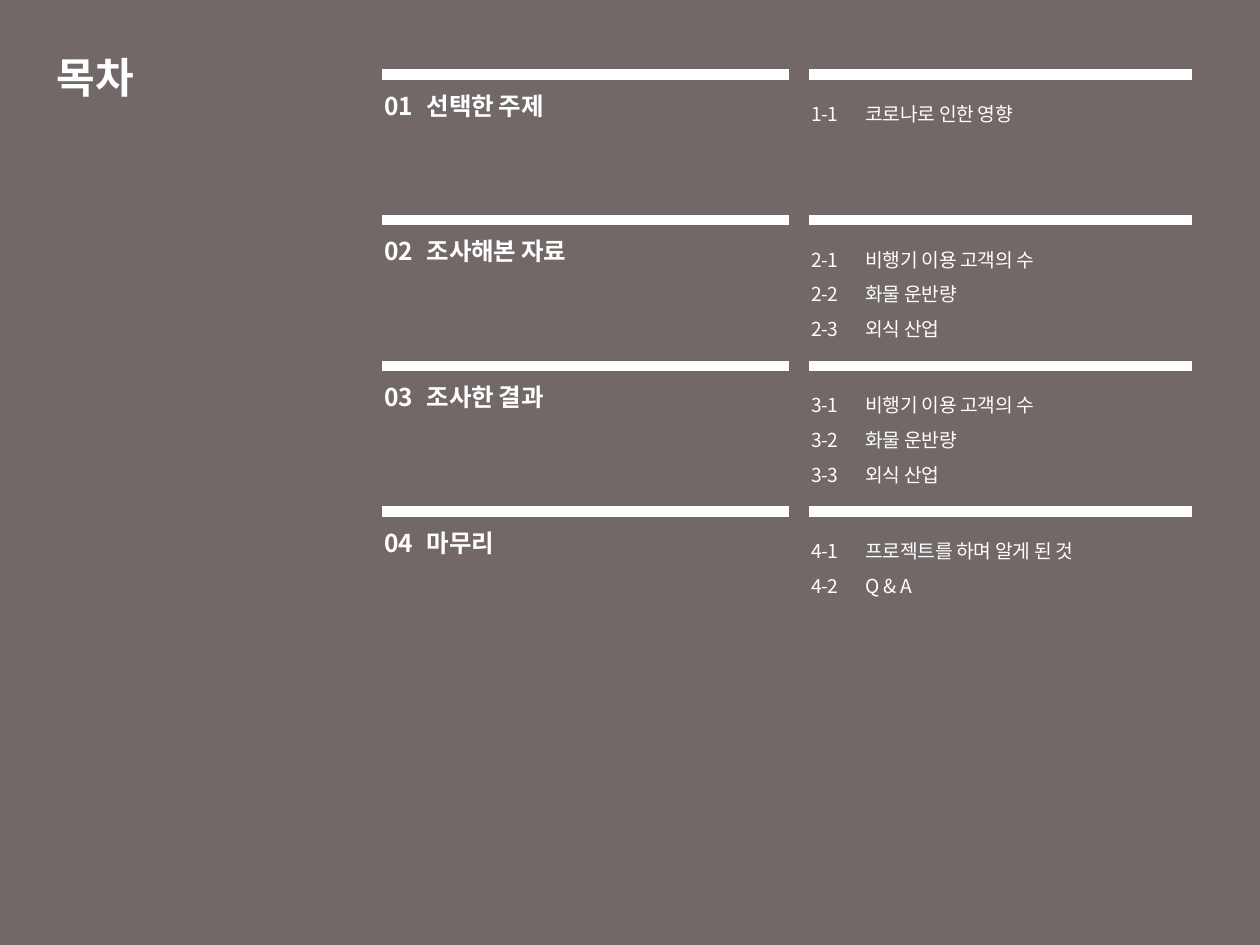
from dataclasses import dataclass

from lxml import etree
from pptx import Presentation
from pptx.dml.color import RGBColor
from pptx.enum import shapes, text
from pptx.oxml import ns
from pptx.util import Inches, Pt

COLORS = {"background": "726868", "foreground": "FFFFFF"}
FONT_NAME = "Noto Sans CJK KR"
FIRST_RULE_TOP = 0.59
SECTION_PITCH = 1.157
TEXT_OFFSET = 0.08


@dataclass(frozen=True)
class Section:
    title: str
    topics: tuple[str, ...]
    topics_height: float


@dataclass(frozen=True)
class Column:
    """A rule with a tabbed text box below it."""
    rule_start: float
    rule_end: float
    text_left: float
    tab: float
    font: dict
    paragraph: dict


SECTIONS = (
    Section("선택한 주제", ("코로나로 인한 영향",), 0.71),
    Section("조사해본 자료", ("비행기 이용 고객의 수", "화물 운반량", "외식 산업"), 0.9),
    Section("조사한 결과", ("비행기 이용 고객의 수", "화물 운반량", "외식 산업"), 1.0),
    Section("마무리", ("프로젝트를 하며 알게 된 것", "Q & A"), 0.71),
)
TITLE_COLUMN = Column(3.03, 6.26, 2.95, 0.34, {"size": Pt(14), "bold": True},
                      {"space_before": Pt(2.8)})
TOPIC_COLUMN = Column(6.42, 9.46, 6.34, 0.43, {"size": Pt(11), "bold": False},
                      {"line_spacing": 1.5})


def color(name: str) -> RGBColor:
    return RGBColor.from_string(COLORS[name])


def set_attributes(target, values: dict) -> None:
    for name, value in values.items():
        setattr(target, name, value)


def format_run(run, font: dict) -> None:
    set_attributes(run.font, {"name": FONT_NAME, **font})
    run.font.color.rgb = color("foreground")
    east_asian = etree.SubElement(run.font._element, ns.qn("a:ea"))
    east_asian.set("typeface", FONT_NAME)


def add_background(slide, width: int, height: int) -> None:
    shape = slide.shapes.add_shape(shapes.MSO_SHAPE.RECTANGLE, 0, 0, width, height)
    shape.shadow.inherit = False
    shape.fill.solid()
    shape.fill.fore_color.rgb = color("background")
    shape.line.fill.background()
    slide.shapes._spTree.insert(2, shape._element)


def add_title(slide, wording: str) -> None:
    title = slide.shapes.title
    set_attributes(title, {"left": Inches(0.35), "top": Inches(0.29),
                           "width": Inches(3.15), "height": Inches(0.63)})
    title.text_frame.vertical_anchor = text.MSO_ANCHOR.MIDDLE
    paragraph = title.text_frame.paragraphs[0]
    paragraph.alignment = text.PP_ALIGN.LEFT
    run = paragraph.add_run()
    run.text = wording
    format_run(run, {"size": Pt(24), "bold": True})


def add_rule(slide, column: Column, top: float) -> None:
    rule = slide.shapes.add_connector(
        shapes.MSO_CONNECTOR.STRAIGHT, Inches(column.rule_start), Inches(top),
        Inches(column.rule_end), Inches(top))
    rule.line.color.rgb = color("foreground")
    rule.line.width = Pt(6)
    etree.SubElement(rule._element.spPr, ns.qn("a:effectLst"))


def add_entries(slide, column: Column, top: float, height: float,
                entries: list[tuple[str, str]]) -> None:
    """Add one paragraph per entry, its number and label parted by a tab."""
    box = slide.shapes.add_textbox(Inches(column.text_left), Inches(top),
                                   Inches(3.62), Inches(height))
    frame = box.text_frame
    frame.word_wrap = True
    for index, (number, label) in enumerate(entries):
        paragraph = frame.add_paragraph() if index else frame.paragraphs[0]
        set_attributes(paragraph, column.paragraph)
        tabs = etree.SubElement(paragraph._p.get_or_add_pPr(), ns.qn("a:tabLst"))
        etree.SubElement(tabs, ns.qn("a:tab"), pos=str(Inches(column.tab)), algn="l")
        run = paragraph.add_run()
        run.text = f"{number}\t{label}"
        format_run(run, column.font)
        run.font._element.set("spc", "-20")


def add_section(slide, number: int, section: Section) -> None:
    rule_top = FIRST_RULE_TOP + (number - 1) * SECTION_PITCH
    topics = [(f"{number}-{index}", topic)
              for index, topic in enumerate(section.topics, 1)]
    for column, height, entries in (
            (TITLE_COLUMN, 0.39, [(f"{number:02}", section.title)]),
            (TOPIC_COLUMN, section.topics_height, topics)):
        add_rule(slide, column, rule_top)
        add_entries(slide, column, rule_top + TEXT_OFFSET, height, entries)


def main() -> None:
    presentation = Presentation()
    presentation.slide_width = Inches(10)
    presentation.slide_height = Inches(7.5)
    slide = presentation.slides.add_slide(presentation.slide_layouts[5])
    add_background(slide, presentation.slide_width, presentation.slide_height)
    add_title(slide, "목차")
    for number, section in enumerate(SECTIONS, 1):
        add_section(slide, number, section)
    presentation.save("out.pptx")


if __name__ == "__main__":
    main()
